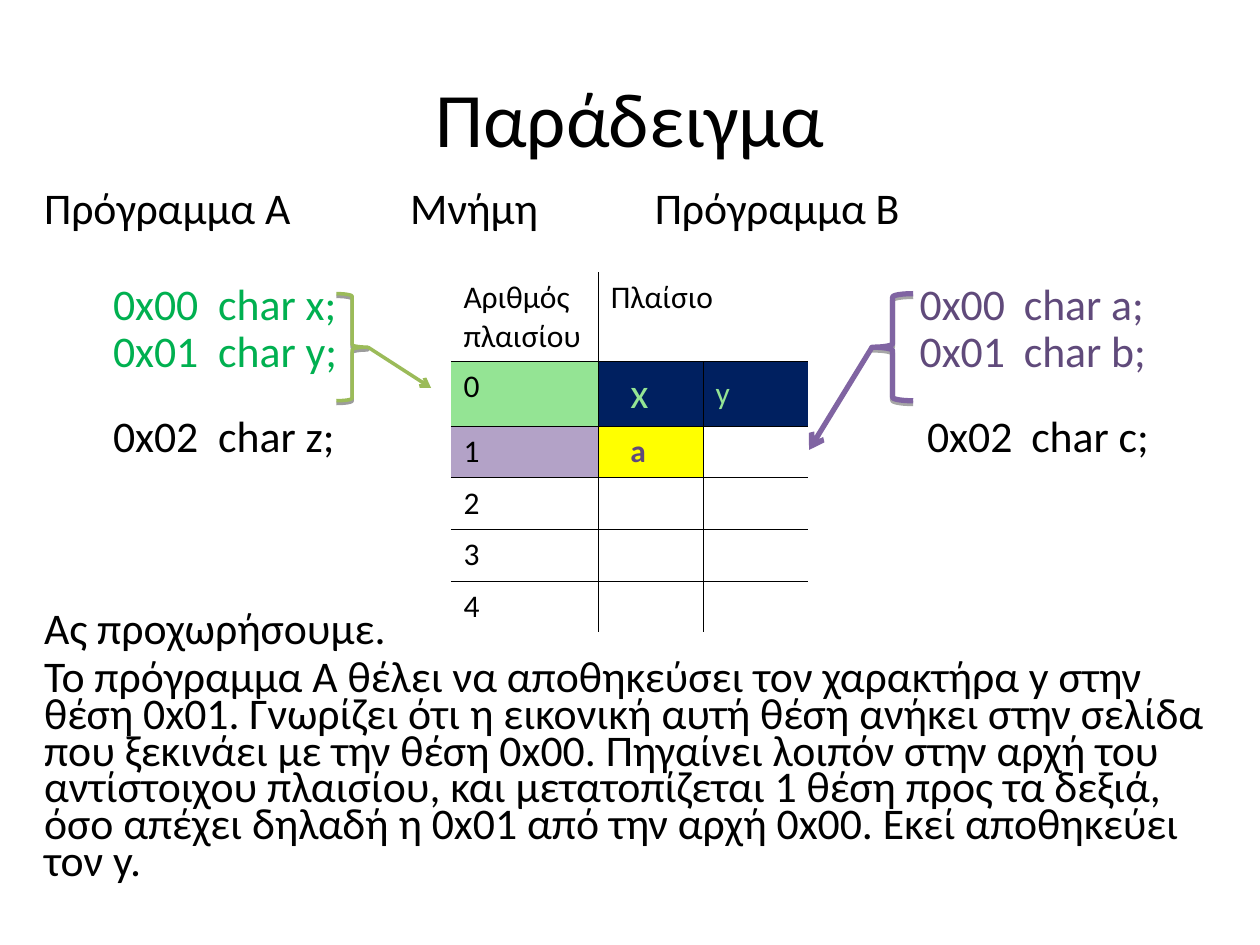
from lxml import etree
from pptx import Presentation
from pptx import util as u
from pptx.dml import color
from pptx.enum import shapes, text
from pptx.oxml import ns

Cm, Pt = u.Cm, u.Pt
RGB = color.RGBColor.from_string

theme = {
    "font": "Calibri", "title": 44, "body": 25, "cell": 18, "large": 24,
    "black": "000000", "green": "00B050", "purple": "604A7B",
    "green_line": "9BBB59", "purple_line": "8064A2",
    "light_green": "94E494", "light_purple": "B3A2C7",
    "navy": "002060", "yellow": "FFFF00",
}


def set_font(p, size, colour="black"):
    p.font.name = theme["font"]
    p.font.size = Pt(theme[size])
    p.font.color.rgb = RGB(theme[colour])


def add_xml(parent, tag, **attrs):
    return etree.SubElement(parent, ns.qn(tag), {k: str(v) for k, v in attrs.items()})


prs = Presentation()
prs.slide_width, prs.slide_height = Cm(25.4), Cm(19.05)
s = prs.slides.add_slide(prs.slide_layouts[6])

# Title
tf = s.shapes.add_textbox(Cm(1.27), Cm(0.76), Cm(22.86), Cm(3.18)).text_frame
tf.word_wrap = True
tf.vertical_anchor = text.MSO_ANCHOR.MIDDLE
p = tf.paragraphs[0]
p.text = "Παράδειγμα"
p.alignment = text.PP_ALIGN.CENTER
set_font(p, "title")

# Headings, program listings and explanation: space before, tab stops, coloured runs
body = [
    (0, [7.38, 12.31], [("Πρόγραμμα Α\tΜνήμη\tΠρόγραμμα Β", "black")]),
    (33.7, [1.39, 3.51, 17.65, 19.75],
     [("\t0x00\tchar x;", "green"), ("\t0x00\tchar a;", "purple")]),
    (6.2, [1.39, 3.51, 17.65, 19.75],
     [("\t0x01\tchar y;", "green"), ("\t0x01\tchar b;", "purple")]),
    (27.5, [1.39, 3.51, 17.8, 19.9], [("\t0x02\tchar z;\t0x02\tchar c;", "black")]),
    (88.8, [], [("Ας προχωρήσουμε.", "black")]),
    (6.2, [], [("Το πρόγραμμα Α θέλει να αποθηκεύσει τον χαρακτήρα y στην θέση 0x01. "
                "Γνωρίζει ότι η εικονική αυτή θέση ανήκει στην σελίδα που ξεκινάει με "
                "την θέση 0x00. Πηγαίνει λοιπόν στην αρχή του αντίστοιχου πλαισίου, και "
                "μετατοπίζεται 1 θέση προς τα δεξιά, όσο απέχει δηλαδή η 0x01 από την "
                "αρχή 0x00. Εκεί αποθηκεύει τον y.", "black")]),
]
tf = s.shapes.add_textbox(Cm(0.64), Cm(3.81), Cm(24.33), Cm(15.24)).text_frame
tf.word_wrap = True
for i, (before, stops, runs) in enumerate(body):
    p = tf.add_paragraph() if i else tf.paragraphs[0]
    p.line_spacing = 0.7
    if before:
        p.space_before = Pt(before)
    if stops:
        tabs = add_xml(p._p.get_or_add_pPr(), "a:tabLst")
        for stop in stops:
            add_xml(tabs, "a:tab", pos=int(Cm(stop)), algn="l")
    set_font(p, "body")
    for words, colour in runs:
        r = p.add_run()
        r.text = words
        r.font.color.rgb = RGB(theme[colour])

# Memory table
rows = [["Αριθμός πλαισίου", "Πλαίσιο", ""], ["0", "x", "y"], ["1", "a", ""],
        ["2", "", ""], ["3", "", ""], ["4", "", ""]]
fills = {(1, 0): "light_green", (1, 1): "navy", (1, 2): "navy",
         (2, 0): "light_purple", (2, 1): "yellow"}
fonts = {(1, 1): ("large", "light_green"), (1, 2): ("cell", "light_green"),
         (2, 1): ("cell", "purple")}
heights, widths = [1.8, 1.3] + [1.04] * 4, [2.97, 2.11, 2.11]
table = s.shapes.add_table(len(rows), len(widths), Cm(9.09), Cm(5.49),
                           Cm(sum(widths)), Cm(sum(heights))).table
table.first_row = table.horz_banding = False
for col, width in zip(table.columns, widths):
    col.width = Cm(width)
for row, height in zip(table.rows, heights):
    row.height = Cm(height)
table.cell(0, 1).merge(table.cell(0, 2))

for i, row in enumerate(rows):
    for j, words in enumerate(row):
        cell = table.cell(i, j)
        p = cell.text_frame.paragraphs[0]
        if words:
            p.text = words
        set_font(p, *fonts.get((i, j), ("cell", "black")))
        p.font.bold = (i, j) == (2, 1)
        if words in ("x", "a"):
            cell.margin_left = Cm(0.65)
        if i == 1 and j:
            cell.vertical_anchor = text.MSO_ANCHOR.MIDDLE
        # Rules run only between cells, not round the outside
        inner = {"a:lnL": j > 0 and (i, j) != (0, 2), "a:lnR": j < 2 and (i, j) != (0, 1),
                 "a:lnT": i > 0, "a:lnB": i < len(rows) - 1}
        for side, shown in inner.items():
            ln = add_xml(cell._tc.get_or_add_tcPr(), side, w=int(Pt(0.45)))
            if shown:
                add_xml(add_xml(ln, "a:solidFill"), "a:srgbClr", val=theme["black"])
            else:
                add_xml(ln, "a:noFill")
        if (i, j) in fills:
            cell.fill.solid()
            cell.fill.fore_color.rgb = RGB(theme[fills[i, j]])
        else:
            cell.fill.background()

# Braces with arrows from their tips to the memory frames
top, height = 5.92, 2.16
kind = shapes.MSO_SHAPE
braces = [  # shape, left, width, tip, arrow end, colour, line width, shadow opacity
    (kind.RIGHT_BRACE, 6.78, 0.64, 7.42, (8.69, 7.82), "green_line", 2, 38000),
    (kind.LEFT_BRACE, 17.58, 0.83, 17.58, (16.31, 9.07), "purple_line", 3, 35000),
]
for shape, left, width, tip, end, colour, weight, opacity in braces:
    sp = s.shapes.add_shape(shape, Cm(left), Cm(top), Cm(width), Cm(height))
    sp.fill.background()
    arrow = s.shapes.add_connector(shapes.MSO_CONNECTOR.STRAIGHT, Cm(tip),
                                   Cm(top + height / 2), Cm(end[0]), Cm(end[1]))
    for item in (sp, arrow):
        item.line.color.rgb = RGB(theme[colour])
        item.line.width = Pt(weight)
    add_xml(arrow.line._get_or_add_ln(), "a:tailEnd", type="arrow")
    add_xml(arrow._element.spPr, "a:effectLst")
    shadow = add_xml(add_xml(sp._element.spPr, "a:effectLst"), "a:outerShdw",
                     blurRad=0, dist=int(Pt(1.6)), dir=5400000, rotWithShape=0)
    add_xml(add_xml(shadow, "a:srgbClr", val=theme["black"]), "a:alpha", val=opacity)

prs.save("out.pptx")
